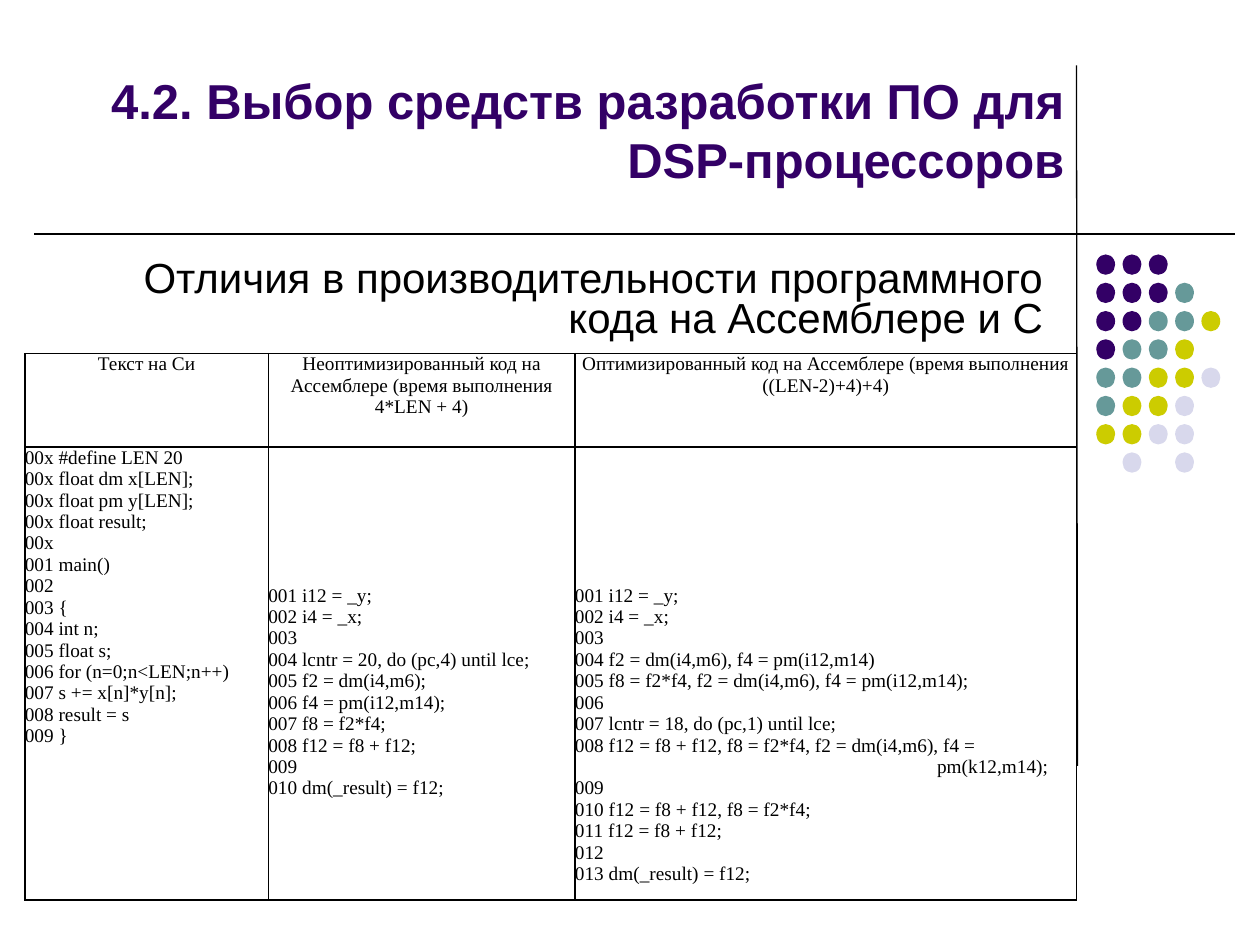
from lxml import etree
from pptx import Presentation
from pptx import util as u
from pptx.dml.color import RGBColor
from pptx.enum import shapes, text
from pptx.oxml import ns

HUES = {"plum": "330066", "teal": "669999", "lime": "CCCC00",
        "mist": "D8D8EC", "ink": "000000"}
DOTS = ["ppp", "pppt", "ppttl", "pttl", "ttllm", "tllm", "llmm", " m m"]
KEYS = {name[0]: name for name in ("plum", "teal", "lime", "mist")}
HEADS = ["Текст на Си",
         "Неоптимизированный код на Ассемблере (время выполнения 4*LEN + 4)",
         "Оптимизированный код на Ассемблере (время выполнения ((LEN-2)+4)+4)"]
CODE = ["""00x #define LEN 20
00x float dm x[LEN];
00x float pm y[LEN];
00x float result;
00x
001 main()
002
003 {
004 int n;
005 float s;
006 for (n=0;n<LEN;n++)
007 s += x[n]*y[n];
008 result = s
009 }""", """001 i12 = _y;
002 i4 = _x;
003
004 lcntr = 20, do (pc,4) until lce;
005 f2 = dm(i4,m6);
006 f4 = pm(i12,m14);
007 f8 = f2*f4;
008 f12 = f8 + f12;
009
010 dm(_result) = f12;""", """001 i12 = _y;
002 i4 = _x;
003
004 f2 = dm(i4,m6), f4 = pm(i12,m14)
005 f8 = f2*f4, f2 = dm(i4,m6), f4 = pm(i12,m14);
006
007 lcntr = 18, do (pc,1) until lce;
008 f12 = f8 + f12, f8 = f2*f4, f2 = dm(i4,m6), f4 =
pm(k12,m14);
009
010 f12 = f8 + f12, f8 = f2*f4;
011 f12 = f8 + f12;
012
013 dm(_result) = f12;"""]


def tint(name):
    return RGBColor.from_string(HUES[name])


def add_run(para, words, size, face="Arial", hue="ink", bold=False):
    run = para.add_run()
    run.text = words
    font = run.font
    font.size, font.name, font.bold = u.Pt(size), face, bold
    font.color.rgb = tint(hue)


def set_box(shape, box):
    shape.left, shape.top, shape.width, shape.height = map(u.Cm, box)
    frame = shape.text_frame
    frame.word_wrap = True
    frame.auto_size = text.MSO_AUTO_SIZE.NONE
    frame.vertical_anchor = text.MSO_ANCHOR.TOP
    para = frame.paragraphs[0]
    para.alignment = text.PP_ALIGN.RIGHT
    return para


def add_rule(slide, *ends):
    rule = slide.shapes.add_connector(
        shapes.MSO_CONNECTOR.STRAIGHT, *map(u.Cm, ends))
    rule.line.color.rgb = tint("ink")
    rule.line.width = u.Pt(0.75)
    etree.SubElement(rule._element.spPr, ns.qn("a:effectLst"))


def add_dots(slide, left, top):
    for row, marks in enumerate(DOTS):
        for col, mark in enumerate(marks):
            if mark == " ":
                continue
            dot = slide.shapes.add_shape(
                shapes.MSO_SHAPE.OVAL, u.Cm(left + 0.53 * col),
                u.Cm(top + 0.57 * row), u.Cm(0.38), u.Cm(0.41))
            dot.shadow.inherit = False
            dot.fill.solid()
            dot.fill.fore_color.rgb = tint(KEYS[mark])
            dot.line.fill.background()


def add_heads(slide, box):
    left, top, width, height = box
    para = set_box(slide.shapes.title, (left, top, width, 3.23))
    para.line_spacing = 1.0
    add_run(para, "4.2. Выбор средств разработки ПО для DSP-процессоров",
            28, hue="plum", bold=True)
    # Subtitle, inset from the title's left edge
    sub = slide.shapes.add_textbox(0, 0, 0, 0)
    para = set_box(sub, (left + 0.38, top + 3.84, width - 0.81, 1.8))
    para.line_spacing = 0.8
    para.space_before = u.Pt(4.8)
    props = para._p.get_or_add_pPr()
    props.set("marL", str(u.Cm(0.97)))
    props.set("indent", str(u.Cm(-0.97)))
    add_run(para, "Отличия в производительности программного кода "
            "на Ассемблере и С", 24)


def frame_cell(cell):
    cell.margin_left = cell.margin_right = 0
    cell.margin_top = cell.margin_bottom = 0
    props = cell._tc.get_or_add_tcPr()
    for side in ("lnL", "lnR", "lnT", "lnB"):
        edge = etree.SubElement(props, ns.qn("a:" + side), w=str(u.Pt(1)))
        fill = etree.SubElement(edge, ns.qn("a:solidFill"))
        etree.SubElement(fill, ns.qn("a:srgbClr"), val=HUES["ink"])
    cell.fill.background()


def fill_cell(cell, lines, align):
    frame = cell.text_frame
    for idx, line in enumerate(lines):
        para = frame.paragraphs[0] if idx == 0 else frame.add_paragraph()
        para.alignment = align
        if line.startswith("pm("):  # continuation of the line above
            para._p.get_or_add_pPr().set("marL", str(u.Cm(7.3)))
        add_run(para, line, 11, "Times New Roman")


def add_code(slide, left, top):
    cols, rows = [4.91, 6.18, 10.11], [1.88, 9.13]
    grid = slide.shapes.add_table(2, 3, u.Cm(left), u.Cm(top),
                                  u.Cm(sum(cols)), u.Cm(sum(rows))).table
    grid.first_row = grid.horz_banding = False
    for row, high in zip(grid.rows, rows):
        row.height = u.Cm(high)
    for col, wide in enumerate(cols):
        grid.columns[col].width = u.Cm(wide)
        head, body = grid.cell(0, col), grid.cell(1, col)
        frame_cell(head)
        frame_cell(body)
        fill_cell(head, [HEADS[col]], text.PP_ALIGN.CENTER)
        fill_cell(body, CODE[col].split("\n"), text.PP_ALIGN.LEFT)
        if col:  # assembler listings start lower
            body.margin_top = u.Cm(2.78)


deck = Presentation()
deck.slide_width, deck.slide_height = u.Cm(25.4), u.Cm(19.05)
slide = deck.slides.add_slide(deck.slide_layouts[5])

# Backdrop
add_rule(slide, 21.7, 1.32, 21.72, 15.44)
add_rule(slide, 0.69, 4.72, 24.89, 4.72)
add_dots(slide, 22.1, 5.13)

# Content
add_heads(slide, (0.3, 1.3, 21.41, 5.64))
add_code(slide, 0.5, 7.13)

deck.save("out.pptx")
